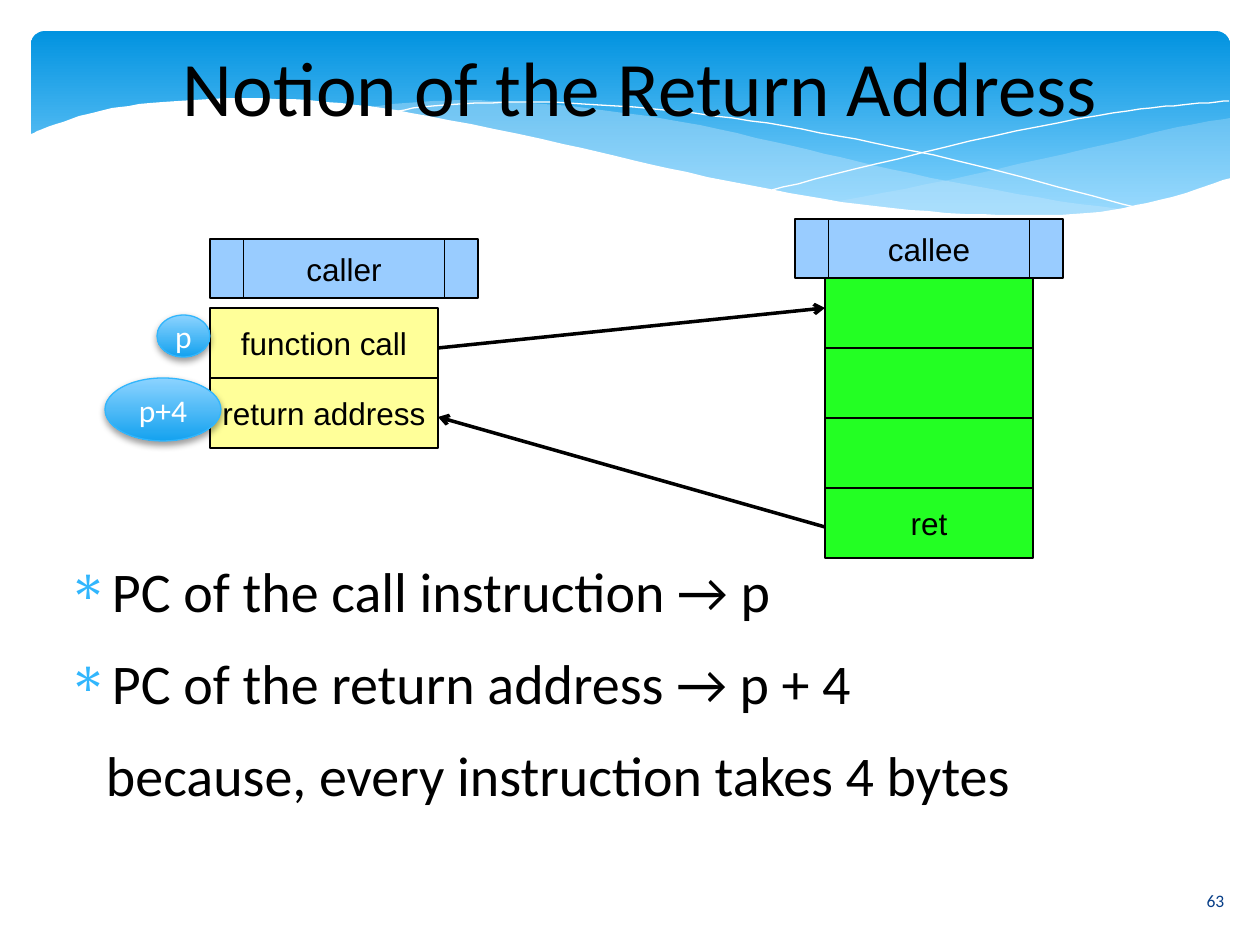
from lxml.etree import SubElement
from pptx import Presentation
from pptx.dml.color import RGBColor
from pptx.enum.shapes import MSO_CONNECTOR, MSO_SHAPE
from pptx.enum.text import MSO_ANCHOR, PP_ALIGN
from pptx.oxml.ns import qn
from pptx.util import Pt

PX = 914400 / 126
CELL_HEIGHT = 70
BLACK, WHITE, SKY = "000000", "FFFFFF", "31B6FD"

# Curves of the banner, relative to its top left corner
WHITE_WAVE = [(-2, 104), (19, 95), (65, 81), (119, 72), (212, 67), (310, 72), (397, 85),
              (532, 113), (636, 137), (758, 162), (861, 177), (968, 184), (1056, 182),
              (1128, 169), (1200, 147)]
RIGHT_TOP = [(1199, 87), (1147, 96), (1054, 118), (918, 149), (802, 171)]
RIGHT_BOTTOM = [(802, 171), (891, 181), (981, 186), (1056, 183), (1129, 171), (1199, 147)]
MIDDLE_TOP = [(1094, 179), (986, 163), (859, 138), (762, 115), (651, 91), (555, 77),
              (472, 70), (402, 70), (329, 77)]
MIDDLE_BOTTOM = [(329, 77), (425, 91), (535, 115), (682, 149), (788, 168), (879, 181),
                 (986, 187), (1049, 184), (1094, 179)]
FALLING_LINE = [(358, 82), (402, 75), (493, 71), (585, 75), (702, 87), (807, 105),
                (927, 130), (1112, 178)]
RISING_LINE = [(741, 159), (845, 133), (985, 100), (1097, 80), (1151, 74), (1198, 70)]


def px(*lengths):
    return [round(length * PX) for length in lengths]


def color(hex_string):
    return RGBColor.from_string(hex_string)


def add_xml(parent, tag, **attributes):
    return SubElement(parent, qn(tag), attributes)


def smooth(points, steps=6):
    """Return points along a Catmull-Rom curve through the given points."""
    padded = [points[0], *points, points[-1]]
    curve = [points[0]]
    for a, b, c, d in zip(padded, padded[1:], padded[2:], padded[3:]):
        for step in range(1, steps + 1):
            t = step / steps
            curve.append(tuple(
                (2 * q + (r - p) * t + (2 * p - 5 * q + 4 * r - s) * t**2
                 + (3 * q - p - 3 * r + s) * t**3) / 2
                for p, q, r, s in zip(a, b, c, d)))
    return curve


def set_gradient(shape, first, last, end=1.0):
    shape.fill.gradient()
    shape.fill.gradient_angle = 270
    for stop, hex_string, position in zip(shape.fill.gradient_stops, (first, last), (0, end)):
        stop.color.rgb = color(hex_string)
        stop.position = position


def set_text(shape, lines, size, font_name, hex_string, align=PP_ALIGN.CENTER,
             anchor=MSO_ANCHOR.MIDDLE, wrap=True):
    frame = shape.text_frame
    frame.text = "\n".join(lines)
    frame.word_wrap = wrap
    frame.vertical_anchor = anchor
    frame.margin_left = frame.margin_right = frame.margin_top = frame.margin_bottom = 0
    for paragraph in frame.paragraphs:
        paragraph.alignment = align
        for run in paragraph.runs:
            run.font.size = Pt(size)
            run.font.name = font_name
            run.font.color.rgb = color(hex_string)
    return frame.paragraphs


def add_outline(slide, left, top, points, fill=None, alpha=100):
    """Draw a filled area, or an open white hairline when there is no fill."""
    moved = [(left + x, top + y) for x, y in points]
    builder = slide.shapes.build_freeform(*moved[0], scale=PX)
    builder.add_line_segments(moved[1:], close=fill is not None)
    shape = builder.convert_to_shape()
    shape.shadow.inherit = False
    if fill is None:
        shape.fill.background()
        shape.line.color.rgb = color(WHITE)
        shape.line.width = 0
        return
    shape.line.fill.background()
    shape.fill.solid()
    shape.fill.fore_color.rgb = color(fill)
    if alpha < 100:
        fill_color = shape.fill._xPr.find(qn("a:solidFill"))[0]
        add_xml(fill_color, "a:alpha", val=str(alpha * 1000))


def add_banner(slide, left, top, width, height):
    panel = slide.shapes.add_shape(MSO_SHAPE.ROUNDED_RECTANGLE, *px(left, top, width, height))
    panel.adjustments[0] = 0.07
    panel.shadow.inherit = False
    panel.line.fill.background()
    set_gradient(panel, "0293E0", "83D3FE", 0.9)
    add_outline(slide, left, top, smooth(RIGHT_TOP) + smooth(RIGHT_BOTTOM), "C6E7FC", 29)
    add_outline(slide, left, top, smooth(MIDDLE_TOP) + smooth(MIDDLE_BOTTOM), "C6E7FC", 40)
    add_outline(slide, left, top, smooth(FALLING_LINE))
    add_outline(slide, left, top, smooth(RISING_LINE))
    below = height + 54
    add_outline(slide, left, top, smooth(WHITE_WAVE) + [(1200, below), (-2, below)], WHITE)


def add_block(slide, kind, left, top, width, height, fill, label):
    block = slide.shapes.add_shape(kind, *px(left, top, width, height))
    block.shadow.inherit = False
    block.fill.solid()
    block.fill.fore_color.rgb = color(fill)
    block.line.color.rgb = color(BLACK)
    block.line.width = 0
    if label:
        set_text(block, [label], 18, "Arial", BLACK, wrap=False)


def add_routine(slide, left, top, name, cells, cell_left, cell_top, cell_width, fill):
    """Draw a routine header and its column of instruction cells."""
    for row, label in enumerate(cells):
        add_block(slide, MSO_SHAPE.RECTANGLE, left + cell_left,
                  top + cell_top + row * CELL_HEIGHT, cell_width, CELL_HEIGHT, fill, label)
    add_block(slide, MSO_SHAPE.FLOWCHART_PREDEFINED_PROCESS, left, top, 268, 59,
              "99CCFF", name)


def add_arrow(slide, *ends):
    arrow = slide.shapes.add_connector(MSO_CONNECTOR.STRAIGHT, *px(*ends))
    arrow.line.color.rgb = color(BLACK)
    arrow.line.width = 0
    add_xml(arrow.line._get_or_add_ln(), "a:tailEnd", type="arrow")
    add_xml(arrow._element.spPr, "a:effectLst")


def add_address(slide, left, top, width, height, label):
    oval = slide.shapes.add_shape(MSO_SHAPE.OVAL, *px(left, top, width, height))
    set_gradient(oval, "8CD3FF", "14A2EF")
    oval.line.color.rgb = color(SKY)
    oval.line.width = Pt(0.75)
    effects = add_xml(oval._element.spPr, "a:effectLst")
    shadow = add_xml(effects, "a:outerShdw", blurRad=str(Pt(4)), dist=str(Pt(2)),
                     dir="5400000", rotWithShape="0")
    add_xml(add_xml(shadow, "a:srgbClr", val=BLACK), "a:alpha", val="38000")
    set_text(oval, [label], 18, "Calibri", WHITE, wrap=False)


def add_label(slide, left, top, width, height, text, size, hex_string):
    box = slide.shapes.add_textbox(*px(left, top, width, height))
    set_text(box, [text], size, "Calibri", hex_string)


def add_notes_on_addresses(slide, left, top, width, height):
    box = slide.shapes.add_textbox(*px(left, top, width, height))
    lines = ["PC of the call instruction → p", "PC of the return address → p + 4",
             "because, every instruction takes 4 bytes"]
    paragraphs = set_text(box, lines, 32, "Calibri", BLACK, PP_ALIGN.LEFT, MSO_ANCHOR.TOP)
    for paragraph in paragraphs:
        paragraph.space_after = Pt(14)
        properties = paragraph._p.get_or_add_pPr()
        bulleted = paragraph is not paragraphs[-1]
        margin, indent = px(59, -44) if bulleted else px(53, 0)
        properties.set("marL", str(margin))
        properties.set("indent", str(indent))
        if bulleted:
            add_xml(add_xml(properties, "a:buClr"), "a:srgbClr", val=SKY)
            add_xml(properties, "a:buChar", char="∗")


def main():
    presentation = Presentation()
    presentation.slide_width, presentation.slide_height = px(1260, 945)
    slide = presentation.slides.add_slide(presentation.slide_layouts[6])
    add_banner(slide, 31, 31, 1199, 197)
    add_label(slide, 1177, 876, 77, 50, "63", 10, "073E87")
    add_label(slide, 42, 21, 1197, 129, "Notion of the Return Address", 44, BLACK)
    add_notes_on_addresses(slide, 53, 557, 1164, 311)
    add_routine(slide, 210, 239, "caller", ["function call", "return address"],
                0, 69, 228, "FFFF99")
    add_routine(slide, 795, 219, "callee", ["", "", "", "ret"], 30, 59, 208, "23FF23")
    add_arrow(slide, 438, 348, 825, 308)
    add_arrow(slide, 825, 527, 438, 417)
    add_address(slide, 157, 315, 53, 42, "p")
    add_address(slide, 105, 378, 116, 63, "p+4")
    presentation.save("out.pptx")


if __name__ == "__main__":
    main()
